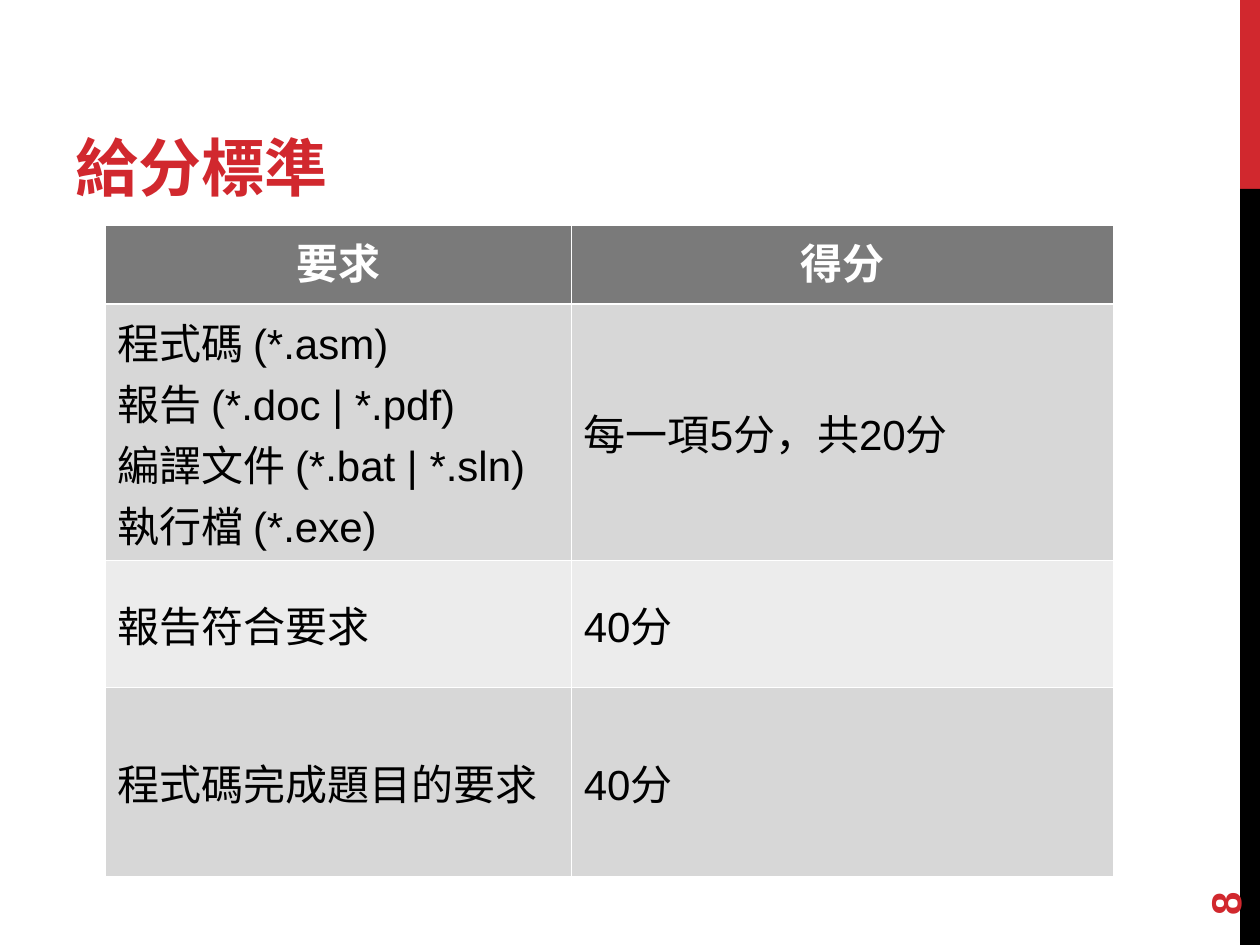
from lxml.etree import SubElement
from pptx import Presentation
from pptx.dml.color import RGBColor
from pptx.enum.shapes import MSO_SHAPE
from pptx.enum.text import MSO_ANCHOR, MSO_AUTO_SIZE, PP_ALIGN
from pptx.oxml.ns import qn
from pptx.util import Pt

RED = RGBColor(0xD1, 0x28, 0x2E)
BLACK = RGBColor(0, 0, 0)
WHITE = RGBColor(0xFF, 0xFF, 0xFF)
HEADER_GRAY = RGBColor(0x7A, 0x7A, 0x7A)
BAND_GRAYS = [RGBColor(0xD7, 0xD7, 0xD7), RGBColor(0xEC, 0xEC, 0xEC)]

TITLE = "給分標準"
PAGE_NUMBER = "8"
ROWS = [
    ("要求", "得分"),
    ("程式碼 (*.asm)\n報告 (*.doc | *.pdf)\n編譯文件 (*.bat | *.sln)\n執行檔 (*.exe)",
     "每一項5分，共20分"),
    ("報告符合要求", "40分"),
    ("程式碼完成題目的要求", "40分"),
]
COLUMN_WIDTHS = [266.4, 309.6]
ROW_HEIGHTS = [45.4, 127.4, 72.7, 108]
SIDE_BARS = [(0, 108, RED), (108, 432, BLACK)]  # top, height, colour
THIN, THICK = 0.45, 1.47


def format_text(text_frame, size, font_name, color, bold, alignment=PP_ALIGN.LEFT):
    for paragraph in text_frame.paragraphs:
        paragraph.alignment = alignment
        for run in paragraph.runs:
            font = run.font
            font.size, font.name, font.bold = Pt(size), font_name, bold
            font.color.rgb = color


def add_borders(cell, widths):
    """Insert white border lines, which must precede the cell's fill."""
    properties = cell._tc.get_or_add_tcPr()
    for position, (side, width) in enumerate(widths.items()):
        line = SubElement(properties, qn(f"a:{side}"), w=str(Pt(width)))
        fill = SubElement(line, qn("a:solidFill"))
        SubElement(fill, qn("a:srgbClr"), val=str(WHITE))
        properties.insert(position, line)


def add_score_table(slide):
    table = slide.shapes.add_table(
        len(ROWS), len(COLUMN_WIDTHS), Pt(60), Pt(128.5),
        Pt(sum(COLUMN_WIDTHS)), Pt(sum(ROW_HEIGHTS))).table
    for column, width in zip(table.columns, COLUMN_WIDTHS):
        column.width = Pt(width)
    for r, (texts, height) in enumerate(zip(ROWS, ROW_HEIGHTS)):
        header = r == 0
        table.rows[r].height = Pt(height)
        for c, text in enumerate(texts):
            cell = table.cell(r, c)
            cell.text_frame.text = text
            cell.vertical_anchor = MSO_ANCHOR.TOP if header else MSO_ANCHOR.MIDDLE
            format_text(cell.text_frame, 24, "Arial", WHITE if header else BLACK,
                        header, PP_ALIGN.CENTER if header else PP_ALIGN.LEFT)
            cell.fill.solid()
            cell.fill.fore_color.rgb = HEADER_GRAY if header else BAND_GRAYS[(r - 1) % 2]
            add_borders(cell, {"lnL": THIN, "lnR": THIN,
                               "lnT": THICK if r == 1 else THIN,
                               "lnB": THICK if header else THIN})


def main():
    presentation = Presentation()
    presentation.slide_width, presentation.slide_height = Pt(720), Pt(540)
    slide = presentation.slides.add_slide(presentation.slide_layouts[5])

    for top, height, color in SIDE_BARS:
        bar = slide.shapes.add_shape(
            MSO_SHAPE.RECTANGLE, Pt(708.6), Pt(top), Pt(11.4), Pt(height))
        bar.shadow.inherit = False
        bar.fill.solid()
        bar.fill.fore_color.rgb = color
        bar.line.fill.background()

    title = slide.shapes.title
    title.left, title.top, title.width, title.height = Pt(36), Pt(12), Pt(456), Pt(108)
    title.text_frame.text = TITLE
    title.text_frame.auto_size = MSO_AUTO_SIZE.NONE
    title.text_frame.vertical_anchor = MSO_ANCHOR.BOTTOM
    format_text(title.text_frame, 36, "Montserrat", RED, True)

    add_score_table(slide)

    number = slide.shapes.add_textbox(Pt(648), Pt(463.7), Pt(103.7), Pt(28.8))
    number.rotation = 270
    number.text_frame.text = PAGE_NUMBER
    number.text_frame.word_wrap = True
    number.text_frame.vertical_anchor = MSO_ANCHOR.MIDDLE
    format_text(number.text_frame, 24, "Arial", RED, True)

    presentation.save("out.pptx")


if __name__ == "__main__":
    main()
